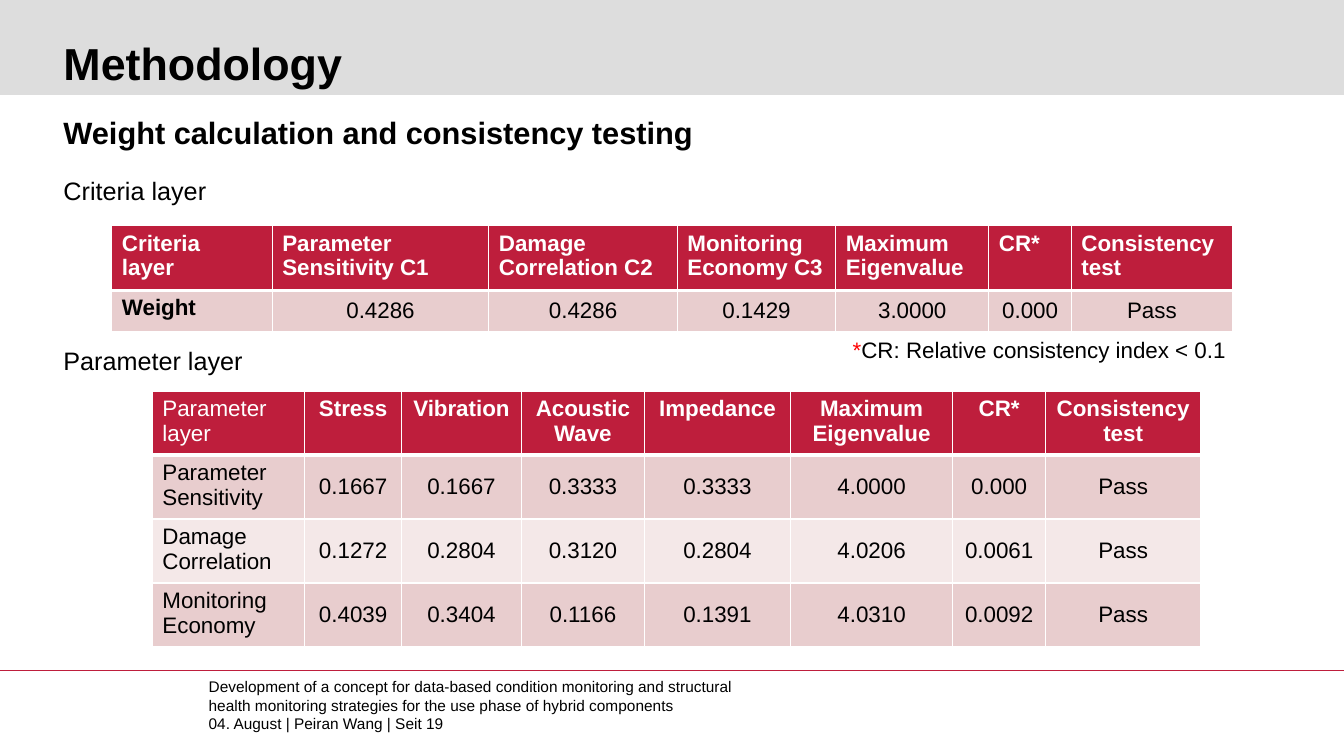
from dataclasses import dataclass

import pptx
import pptx.dml.color
import pptx.enum.shapes
import pptx.enum.text
import pptx.oxml
import pptx.oxml.ns
import pptx.util
from pptx.util import Cm

RGBColor = pptx.dml.color.RGBColor
BLACK = RGBColor(0x00, 0x00, 0x00)
WHITE = RGBColor(0xFF, 0xFF, 0xFF)
RED = RGBColor(0xFF, 0x00, 0x00)
CRIMSON = RGBColor(0xBE, 0x1E, 0x3C)
GREY = RGBColor(0xDD, 0xDD, 0xDD)
BANDS = (RGBColor(0xE8, 0xCD, 0xCE), RGBColor(0xF4, 0xE8, 0xE8))
FONT = "Arial"
PLAIN_INSETS = (0, 0, 0, 0)
HEADING_INSETS = (0, 0.13, 0.25, 0.13)
BOX_INSETS = (0.25, 0.13, 0.25, 0.13)
TOP = pptx.enum.text.MSO_ANCHOR.TOP
MIDDLE = pptx.enum.text.MSO_ANCHOR.MIDDLE
BOTTOM = pptx.enum.text.MSO_ANCHOR.BOTTOM
CENTER = pptx.enum.text.PP_ALIGN.CENTER
LEFT = pptx.enum.text.PP_ALIGN.LEFT


@dataclass(frozen=True)
class Run:
    text: str
    color: RGBColor = BLACK


@dataclass(frozen=True)
class TextBox:
    left: float
    top: float
    width: float
    height: float
    size: float
    paragraphs: tuple[tuple[Run, ...], ...]
    bold: bool = False
    insets: tuple[float, ...] = HEADING_INSETS
    anchor: pptx.enum.text.MSO_ANCHOR = TOP


@dataclass(frozen=True)
class WeightTable:
    left: float
    top: float
    widths: tuple[float, ...]
    heights: tuple[float, ...]
    rows: tuple[tuple[str, ...], ...]
    header_align: pptx.enum.text.PP_ALIGN
    corner_bold: bool
    labels_bold: bool


TEXTS = (
    TextBox(1.6, 0.3, 31, 1.96, 32, ((Run("Methodology"),),), True, PLAIN_INSETS, BOTTOM),
    TextBox(1.6, 2.74, 21.97, 1.19, 22,
            ((Run("Weight calculation and consistency testing"),),), True),
    TextBox(1.6, 4.29, 6.53, 1.02, 18, ((Run("Criteria layer"),),)),
    TextBox(1.6, 8.56, 6.53, 1.02, 18, ((Run("Parameter layer"),),)),
    TextBox(21.24, 8.33, 10.26, 0.94, 16,
            ((Run("*", RED), Run("CR: Relative consistency index < 0.1")),), insets=BOX_INSETS),
    TextBox(5.26, 17.07, 13.26, 1.42, 11,
            ((Run("Development of a concept for data-based condition monitoring and structural "
                  "health monitoring strategies for the use phase of hybrid components"),),
             (Run("04. August | Peiran Wang | Seit 19"),)), insets=PLAIN_INSETS),
)

TABLES = (
    WeightTable(
        2.82, 5.69, (4.04, 5.46, 4.75, 3.99, 3.86, 2.08, 4.06), (1.63, 1.03),
        (("Criteria\nlayer", "Parameter\nSensitivity C1", "Damage\nCorrelation C2",
          "Monitoring\nEconomy C3", "Maximum\nEigenvalue", "CR*", "Consistency\ntest"),
         ("Weight", "0.4286", "0.4286", "0.1429", "3.0000", "0.000", "Pass")),
        LEFT, True, True),
    WeightTable(
        3.84, 9.86, (3.84, 2.44, 3.02, 3.1, 3.68, 4.09, 2.34, 3.91), (1.61,) * 4,
        (("Parameter\nlayer", "Stress", "Vibration", "Acoustic Wave", "Impedance",
          "Maximum\nEigenvalue", "CR*", "Consistency\ntest"),
         ("Parameter Sensitivity", "0.1667", "0.1667", "0.3333", "0.3333", "4.0000", "0.000", "Pass"),
         ("Damage Correlation", "0.1272", "0.2804", "0.3120", "0.2804", "4.0206", "0.0061", "Pass"),
         ("Monitoring Economy", "0.4039", "0.3404", "0.1166", "0.1391", "4.0310", "0.0092", "Pass")),
        CENTER, False, False),
)


def add_run(p, text: str, size: float, color: RGBColor, bold: bool) -> None:
    r = p.add_run()
    r.text = text
    r.font.name = FONT
    r.font.size = pptx.util.Pt(size)
    r.font.bold = bold
    r.font.color.rgb = color


def add_text(s, box: TextBox) -> None:
    sp = s.shapes.add_textbox(Cm(box.left), Cm(box.top), Cm(box.width), Cm(box.height))
    tf = sp.text_frame
    tf.word_wrap = True
    tf.vertical_anchor = box.anchor
    tf.margin_left, tf.margin_top, tf.margin_right, tf.margin_bottom = map(Cm, box.insets)
    for i, runs in enumerate(box.paragraphs):
        p = tf.add_paragraph() if i else tf.paragraphs[0]
        for run in runs:
            add_run(p, run.text, box.size, run.color, box.bold)


def set_borders(cell, row: int) -> None:
    tc_pr = cell._tc.get_or_add_tcPr()
    widths = {"L": 1, "R": 1, "T": 3 if row == 1 else 1, "B": 3 if row == 0 else 1}
    for i, (side, width) in enumerate(widths.items()):
        tc_pr.insert(i, pptx.oxml.parse_xml(
            f'<a:ln{side} {pptx.oxml.ns.nsdecls("a")} w="{pptx.util.Pt(width)}">'
            f'<a:solidFill><a:srgbClr val="{WHITE}"/></a:solidFill></a:ln{side}>'))


def add_weight_table(s, spec: WeightTable) -> None:
    sp = s.shapes.add_table(len(spec.heights), len(spec.widths), Cm(spec.left), Cm(spec.top),
                            Cm(sum(spec.widths)), Cm(sum(spec.heights)))
    table = sp.table
    for column, width in zip(table.columns, spec.widths):
        column.width = Cm(width)
    for i, (height, texts) in enumerate(zip(spec.heights, spec.rows)):
        table.rows[i].height = Cm(height)
        for j, text in enumerate(texts):
            header, label = i == 0, j == 0
            if header:
                bold = spec.corner_bold or not label
            else:
                bold = spec.labels_bold and label
            cell = table.cell(i, j)
            cell.fill.solid()
            cell.fill.fore_color.rgb = CRIMSON if header else BANDS[(i - 1) % 2]
            cell.vertical_anchor = TOP if header or label else MIDDLE
            set_borders(cell, i)
            p = cell.text_frame.paragraphs[0]
            p.alignment = LEFT if label else spec.header_align if header else CENTER
            for k, line in enumerate(text.split("\n")):
                if k:
                    p.add_line_break()
                add_run(p, line, 16, WHITE if header else BLACK, bold)


def add_frame(s, width: int) -> None:
    band = s.shapes.add_shape(pptx.enum.shapes.MSO_SHAPE.RECTANGLE, 0, 0, width, Cm(2.39))
    band.shadow.inherit = False
    band.fill.solid()
    band.fill.fore_color.rgb = GREY
    band.line.fill.background()
    rule = s.shapes.add_connector(pptx.enum.shapes.MSO_CONNECTOR.STRAIGHT,
                                  0, Cm(16.89), width, Cm(16.89))
    rule.line.color.rgb = CRIMSON
    rule.line.width = pptx.util.Pt(0.75)
    rule._element.spPr.append(
        pptx.oxml.parse_xml(f'<a:effectLst {pptx.oxml.ns.nsdecls("a")}/>'))


def main() -> None:
    prs = pptx.Presentation()
    prs.slide_width = Cm(33.87)
    prs.slide_height = Cm(19.05)
    s = prs.slides.add_slide(prs.slide_layouts[6])
    add_frame(s, prs.slide_width)
    for table in TABLES:
        add_weight_table(s, table)
    for box in TEXTS:
        add_text(s, box)
    prs.save("out.pptx")


if __name__ == "__main__":
    main()
